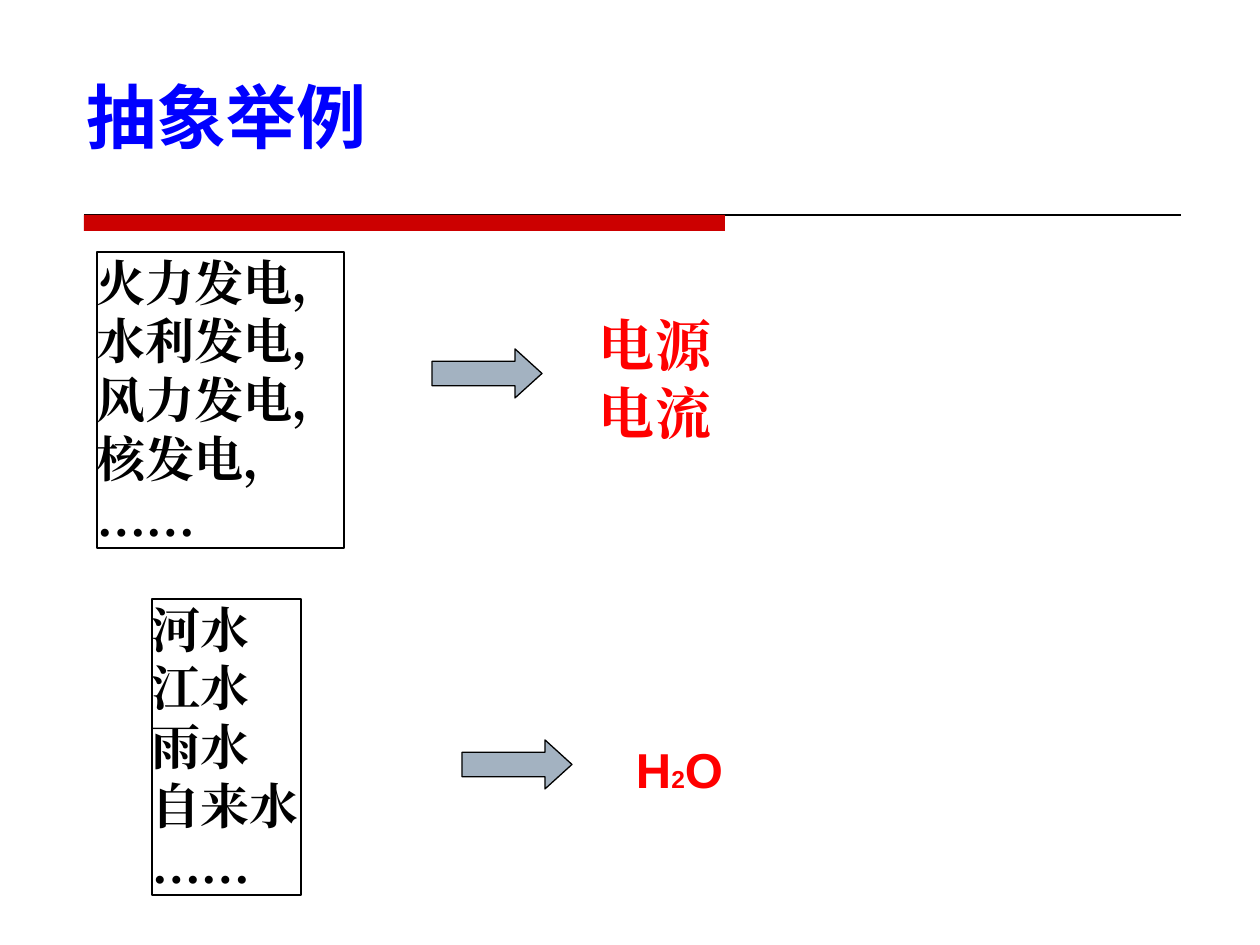
"""Build the slide of abstraction examples: concrete things lead to one concept."""
from lxml.etree import SubElement
from pptx import Presentation
from pptx.dml.color import RGBColor
from pptx.enum.shapes import MSO_CONNECTOR, MSO_SHAPE as SHAPE
from pptx.enum.text import MSO_ANCHOR, PP_ALIGN
from pptx.oxml.ns import qn
from pptx.util import Emu, Pt


def px(*lengths):
    return [Emu(round(length * 914400 / 126)) for length in lengths]


def write(frame, lines, size, font, color, inset=(0, 0)):
    frame.word_wrap = True
    frame.vertical_anchor = MSO_ANCHOR.TOP
    frame.margin_left, frame.margin_top = frame.margin_right, frame.margin_bottom = px(*inset)
    for number, line in enumerate(lines):
        paragraph = frame.add_paragraph() if number else frame.paragraphs[0]
        paragraph.alignment = PP_ALIGN.LEFT
        paragraph.font.size = Pt(size)
        paragraph.font.bold = True
        paragraph.font.color.rgb = RGBColor.from_string(color)
        paragraph.font.name = font
        SubElement(paragraph.font._rPr, qn("a:ea"), typeface=font)
        for text in line:
            run = paragraph.add_run()
            run.text = text
            if text == "2":
                run.font.size = Pt(14)


SERIF, SANS, CJK = "Times New Roman", "Arial", "Noto Sans CJK SC"
BLACK, RED, BLUE = "000000", "FF0000", "0000FF"

deck = Presentation()
deck.slide_width, deck.slide_height = px(1260, 945)
shapes = deck.slides.add_slide(deck.slide_layouts[6]).shapes

rule = shapes.add_connector(MSO_CONNECTOR.STRAIGHT, *px(84, 215, 1181, 215))
rule.line.width = Pt(0.75)
rule.line.color.rgb = RGBColor.from_string(BLACK)
SubElement(rule._element.spPr, qn("a:effectLst"))

bar = shapes.add_shape(SHAPE.RECTANGLE, *px(84, 215, 641, 16))
bar.shadow.inherit = False
bar.fill.solid()
bar.fill.fore_color.rgb = RGBColor.from_string("CC0000")
bar.line.fill.background()

title = shapes.add_textbox(*px(78, 69, 301, 92))
write(title.text_frame, [["抽象举例"]], 40, CJK, BLUE, (9, 4))

examples = [
    ((97, 252, 247, 296), ["火力发电，", "水利发电，", "风力发电，", "核发电，", "……"], (432, 349),
     (599, 311, 232, 135), [["电源"], ["电流"]], 32, SERIF),
    ((152, 599, 149, 296), ["河水", "江水", "雨水", "自来水", "……"], (462, 740),
     (636, 740, 101, 59), [["H", "2", "O"]], 28, SANS),
]
for things_at, things, arrow_at, concept_at, concept, size, font in examples:
    box = shapes.add_shape(SHAPE.RECTANGLE, *px(*things_at))
    box.fill.background()
    write(box.text_frame, [[thing] for thing in things], 28, SERIF, BLACK)

    arrow = shapes.add_shape(SHAPE.RIGHT_ARROW, *px(*arrow_at, 110, 49))
    arrow.adjustments[1] = 0.55
    arrow.fill.solid()
    arrow.fill.fore_color.rgb = RGBColor.from_string("A3B2C1")

    for outlined in (box, arrow):
        outlined.shadow.inherit = False
        outlined.line.width = Pt(0.75)
        outlined.line.color.rgb = RGBColor.from_string(BLACK)

    result = shapes.add_textbox(*px(*concept_at))
    write(result.text_frame, concept, size, font, RED)

deck.save("out.pptx")
